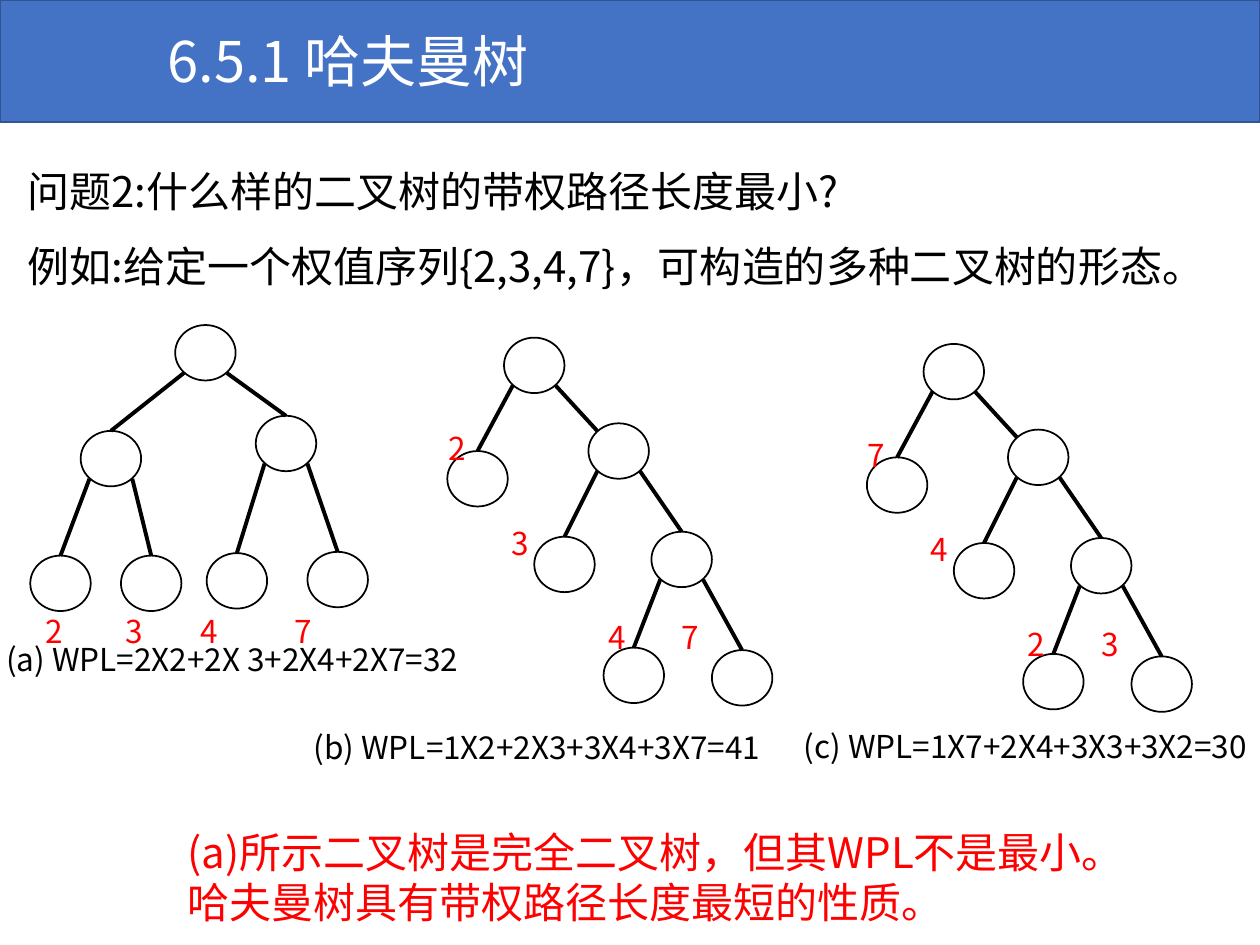
import lxml.etree
import pptx
import pptx.dml.color
import pptx.enum.shapes
import pptx.enum.text
import pptx.oxml.ns
import pptx.util
from pptx.util import Inches

BLACK = pptx.dml.color.RGBColor(0x00, 0x00, 0x00)
WHITE = pptx.dml.color.RGBColor(0xFF, 0xFF, 0xFF)
RED = pptx.dml.color.RGBColor(0xFF, 0x00, 0x00)
BLUE = pptx.dml.color.RGBColor(0x44, 0x72, 0xC4)
DARK_BLUE = pptx.dml.color.RGBColor(0x32, 0x54, 0x91)
FONT = "Noto Sans CJK SC"

# Node size, and where edges meet a node (offsets from its top left corner)
NODE_W, NODE_H = 0.48, 0.44
TOP = (0.24, 0)
TOP_LEFT = (0.07, 0.06)
BOTTOM_LEFT = (0.07, 0.38)
BOTTOM_RIGHT = (0.41, 0.38)

# Trees: node positions; edges as parent, child, start site, end site
COMPLETE_NODES = [(1.39, 2.58), (0.64, 3.42), (2.03, 3.3), (0.24, 4.41),
                  (0.96, 4.41), (1.64, 4.39), (2.44, 4.38)]
COMPLETE_EDGES = [(0, 1, BOTTOM_LEFT, TOP), (0, 2, BOTTOM_RIGHT, TOP),
                  (1, 3, BOTTOM_LEFT, TOP), (1, 4, BOTTOM_RIGHT, TOP),
                  (2, 5, BOTTOM_LEFT, TOP), (2, 6, BOTTOM_RIGHT, TOP)]
COMPLETE_LABELS = [(0.26, 4.81), (0.9, 4.81), (1.49, 4.81), (2.24, 4.81)]

SKEWED_NODES = [(4, 2.68), (3.55, 3.58), (4.67, 3.36), (4.24, 4.26),
                (5.17, 4.22), (4.79, 5.14), (5.65, 5.16)]
SKEWED_EDGES = [(0, 1, BOTTOM_LEFT, TOP), (0, 2, BOTTOM_RIGHT, TOP_LEFT),
                (2, 3, BOTTOM_LEFT, TOP), (2, 4, BOTTOM_RIGHT, TOP),
                (4, 5, BOTTOM_LEFT, TOP), (4, 6, BOTTOM_RIGHT, TOP)]
SKEWED_LABELS = [(3.46, 3.36), (3.96, 4.11), (4.73, 4.86), (5.31, 4.86)]


def place(shape, left, top, width, height):
    shape.left, shape.top = Inches(left), Inches(top)
    shape.width, shape.height = Inches(width), Inches(height)


def write(shape, lines, size, color, wrap=True, line_spacing=None):
    frame = shape.text_frame
    frame.word_wrap = wrap
    frame.auto_size = pptx.enum.text.MSO_AUTO_SIZE.NONE
    frame.vertical_anchor = pptx.enum.text.MSO_ANCHOR.TOP
    frame.text = "\n".join(lines)
    for paragraph in frame.paragraphs:
        properties = paragraph._p.get_or_add_pPr()
        properties.set("marL", "0")
        properties.set("indent", "0")
        paragraph.alignment = pptx.enum.text.PP_ALIGN.LEFT
        paragraph.space_before = pptx.util.Pt(0)
        if line_spacing:
            paragraph.line_spacing = line_spacing
        lxml.etree.SubElement(properties, pptx.oxml.ns.qn("a:buNone"))
        paragraph.font.size = pptx.util.Pt(size)
        paragraph.font.color.rgb = color
        paragraph.font.name = FONT
        # East Asian typeface
        defaults = properties.find(pptx.oxml.ns.qn("a:defRPr"))
        lxml.etree.SubElement(defaults, pptx.oxml.ns.qn("a:ea"), typeface=FONT)


def add_text(slide, box, lines, size, color, wrap=True):
    textbox = slide.shapes.add_textbox(*map(Inches, box))
    write(textbox, lines, size, color, wrap)


def add_outlined(slide, preset, box, fill, line):
    shape = slide.shapes.add_shape(preset, *map(Inches, box))
    shape.shadow.inherit = False
    shape.fill.solid()
    shape.fill.fore_color.rgb = fill
    shape.line.color.rgb = line
    shape.line.width = pptx.util.Pt(1)
    return shape


def add_edge(slide, start, end):
    edge = slide.shapes.add_connector(
        pptx.enum.shapes.MSO_CONNECTOR.STRAIGHT, *map(Inches, start + end))
    edge.line.color.rgb = BLACK
    edge.line.width = pptx.util.Pt(2.25)
    lxml.etree.SubElement(edge._element.spPr, pptx.oxml.ns.qn("a:effectLst"))


def add_tree(slide, nodes, edges, labels, weights, shift=(0, 0)):
    def moved(point, offset=(0, 0)):
        return (point[0] + offset[0] + shift[0], point[1] + offset[1] + shift[1])

    for node in nodes:
        add_outlined(slide, pptx.enum.shapes.MSO_SHAPE.OVAL,
                     moved(node) + (NODE_W, NODE_H), WHITE, BLACK)
    for parent, child, start, end in edges:
        add_edge(slide, moved(nodes[parent], start), moved(nodes[child], end))
    for label, weight in zip(labels, weights):
        add_text(slide, moved(label) + (0.34, 0.4), [weight], 18, RED, wrap=False)


def main():
    presentation = pptx.Presentation()
    presentation.slide_width, presentation.slide_height = Inches(10), Inches(7.5)
    slide = presentation.slides.add_slide(presentation.slide_layouts[1])

    # Title on a banner, which goes behind the placeholders
    banner = add_outlined(slide, pptx.enum.shapes.MSO_SHAPE.RECTANGLE,
                          (0, 0, 10, 0.97), BLUE, DARK_BLUE)
    slide.shapes.title._element.addprevious(banner._element)
    place(slide.shapes.title, 1.23, 0.16, 7.8, 0.64)
    write(slide.shapes.title, ["6.5.1 哈夫曼树"], 32, WHITE)

    # Question and example
    question = slide.placeholders[1]
    place(question, 0.12, 1.06, 9.76, 1.25)
    write(question, ["问题2:什么样的二叉树的带权路径长度最小?",
                     "例如:给定一个权值序列{2,3,4,7}，可构造的多种二叉树的形态。"],
          24, BLACK, line_spacing=1.5)

    # Three trees with their leaf weights
    add_tree(slide, COMPLETE_NODES, COMPLETE_EDGES, COMPLETE_LABELS, "2347")
    add_tree(slide, SKEWED_NODES, SKEWED_EDGES, SKEWED_LABELS, "2347")
    add_tree(slide, SKEWED_NODES, SKEWED_EDGES, SKEWED_LABELS, "7423",
             shift=(3.33, 0.05))

    # Path lengths
    for left, top, width, caption in [
            (-0.05, 5.03, 3.86, "(a) WPL=2X2+2X 3+2X4+2X7=32"),
            (2.39, 5.73, 3.81, "(b) WPL=1X2+2X3+3X4+3X7=41"),
            (6.28, 5.72, 3.77, "(c) WPL=1X7+2X4+3X3+3X2=30")]:
        add_text(slide, (left, top, width, 0.4), [caption], 18, BLACK, wrap=False)

    # Conclusion
    add_text(slide, (1.39, 6.51, 7.81, 0.91),
             ["(a)所示二叉树是完全二叉树，但其WPL不是最小。",
              "哈夫曼树具有带权路径长度最短的性质。"], 24, RED)

    presentation.save("out.pptx")


if __name__ == "__main__":
    main()
